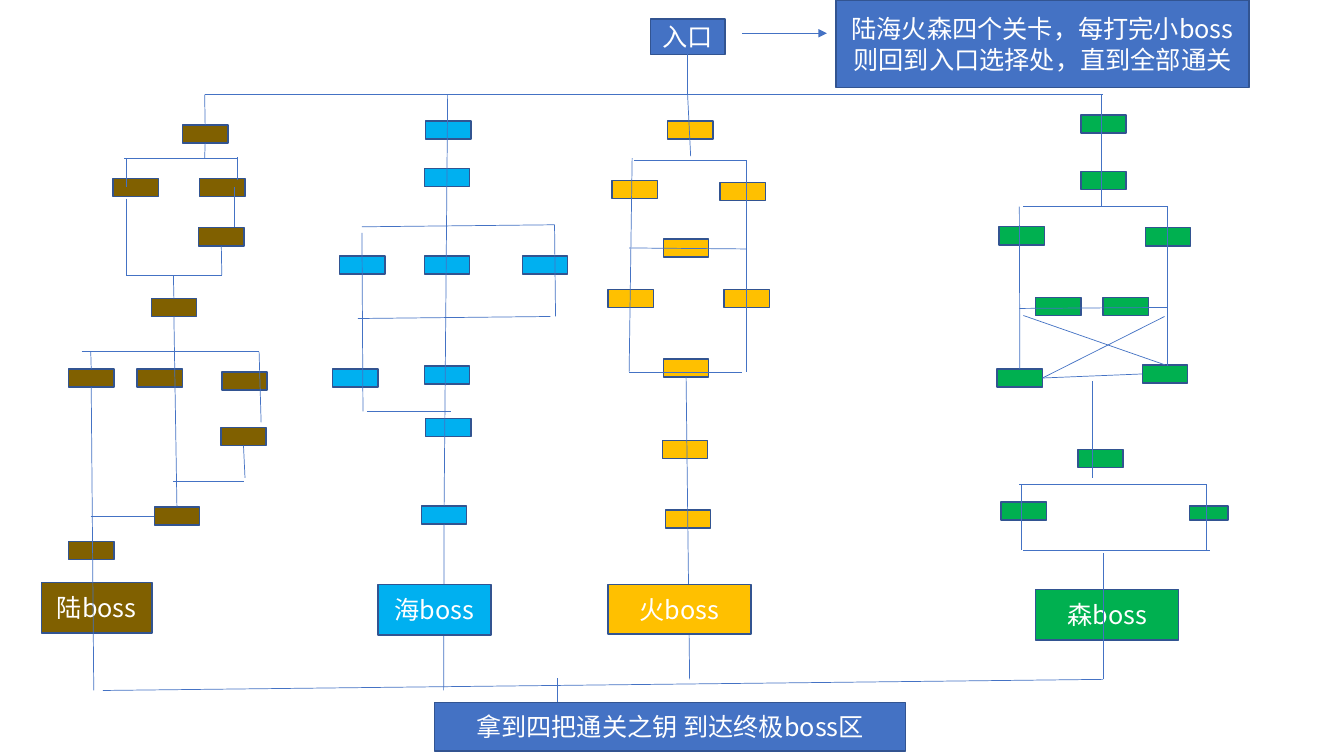
from dataclasses import dataclass

from lxml import etree
from pptx import Presentation
from pptx.dml.color import RGBColor
from pptx.enum.shapes import MSO_CONNECTOR, MSO_SHAPE
from pptx.enum.text import MSO_ANCHOR, PP_ALIGN
from pptx.oxml.ns import qn
from pptx.util import Inches, Pt

RECT = MSO_SHAPE.RECTANGLE
STRAIGHT = MSO_CONNECTOR.STRAIGHT
MIDDLE = MSO_ANCHOR.MIDDLE
CENTER = PP_ALIGN.CENTER

CELL = 0.1  # inches per grid column and row
ROOM = (4.5, 1.8)
NEAR = 0.15  # cells within which a line end joins a side


@dataclass(frozen=True)
class Theme:
    font: str = "Noto Sans CJK SC"
    size: float = 18
    edge: float = 1
    thin: float = 0.5
    text: str = "FFFFFF"
    blue: str = "4472C4"
    rim: str = "325491"
    land: str = "806000"
    sea: str = "00B0F0"
    fire: str = "FFC000"
    wood: str = "00B050"


THEME = Theme()

# Rooms are (column, row[, width, height]); paths are (x1, y1, x2, y2),
# all in cells from the top left corner of the lane.
LAND = dict(
    fill=THEME.land, name="陆boss", boss=(0.1, 48.4, 11, 5), front=False,
    rooms=[(14.1, 3), (7.2, 8.3), (15.8, 8.3), (15.7, 13.2), (11, 20.2),
           (2.8, 27.2), (9.6, 27.2), (18, 27.5), (2.8, 44.3), (17.9, 33),
           (11.3, 40.9)],
    paths=[(16.3, 0, 16.3, 3), (16.3, 4.8, 16.3, 6.3), (8.3, 6.3, 19.5, 6.3),
           (8.5, 6.3, 8.5, 9.2), (19.5, 8.5, 19.5, 6.2),
           (19.2, 9.2, 19.2, 13.1), (18, 15, 18, 17.9), (8.5, 10.3, 8.5, 18),
           (8.5, 17.9, 18, 17.9), (13.2, 17.9, 13.3, 20.2),
           (13.3, 22, 13.5, 40.9), (4.1, 25.5, 21.7, 25.5),
           (5, 25.5, 5, 27.2), (21.7, 25.5, 21.9, 32.5),
           (20.2, 34.8, 20.3, 38), (13.2, 38.4, 20.2, 38.4),
           (5, 29, 5.3, 59.1), (5, 41.8, 11.3, 41.8)])
SEA = dict(
    fill=THEME.sea, name="海boss", boss=(4.5, 48.6, 11.2, 5), front=True,
    rooms=[(9.2, 2.6), (9.1, 7.3), (0.7, 16), (9.1, 16), (18.8, 16),
           (9.1, 26.9), (0, 27.2), (9.2, 32.1), (8.8, 40.8)],
    paths=[(11.4, 0, 11, 40.8), (2.9, 13.1, 22, 12.9), (2.9, 13.7, 3, 31.4),
           (22, 12.9, 22.1, 22), (2.5, 22.2, 21.6, 22),
           (3.4, 31.4, 11.7, 31.4), (11, 42.6, 11, 59.1)])
FIRE = dict(
    fill=THEME.fire, name="火boss", boss=(0.3, 48.6, 14.2, 4.9), front=True,
    rooms=[(6.2, 2.6), (0.7, 8.5), (11.4, 8.7), (5.8, 14.3), (11.8, 19.3),
           (0.3, 19.3), (5.8, 26.2), (5.7, 34.3), (6, 41.2)],
    paths=[(8.2, 0, 8.5, 6.1), (2.9, 6.5, 14, 6.5), (2.7, 6.3, 2.4, 27.5),
           (2.4, 15.2, 14, 15.3), (14, 6.5, 14, 27.5),
           (2.4, 27.5, 13.6, 27.5), (8.1, 28, 8.4, 58)])
WOOD = dict(
    fill=THEME.wood, name="森boss", boss=(4.7, 49.1, 14.2, 5), front=False,
    rooms=[(9.2, 2), (9.2, 7.6), (1.1, 13.1), (15.6, 13.2), (4.7, 20.1),
           (11.4, 20.1), (0.9, 27.2), (15.3, 26.8), (8.9, 35.2), (1.3, 40.4),
           (20, 40.8, 3.8, 1.4)],
    paths=[(11.2, 0, 11.2, 11.1), (3.5, 11.1, 17.8, 11.1),
           (3.1, 11.1, 3.1, 27.2), (17.8, 11.1, 17.8, 26.9),
           (5.4, 28.1, 15.3, 27.7), (3.1, 21.2, 17.8, 21.1),
           (3.5, 21.9, 17.5, 26.8), (17.5, 22, 5.4, 28.1),
           (10.3, 28.4, 10.3, 38), (3.1, 38.7, 21.7, 38.7),
           (3.3, 38.7, 3.3, 45.2), (21.7, 38.7, 21.7, 45.2),
           (3.5, 45.2, 22, 45.2), (11.4, 45.5, 11.4, 58)])


def grid(*cells):
    return [Inches(n * CELL) for n in cells]


def color(code):
    return RGBColor.from_string(code)


def block(slide, org, area, fill, text=None):
    """Draw a filled box, with centred text if any."""
    x, y, w, h = area
    shape = slide.shapes.add_shape(RECT, *grid(org[0] + x, org[1] + y, w, h))
    shape.shadow.inherit = False
    shape.fill.solid()
    shape.fill.fore_color.rgb = color(fill)
    shape.line.color.rgb = color(THEME.rim)
    shape.line.width = Pt(THEME.edge)
    if text:
        frame = shape.text_frame
        frame.word_wrap = True
        frame.vertical_anchor = MIDDLE
        frame.margin_left = frame.margin_right = Inches(0.05)
        para = frame.paragraphs[0]
        para.alignment = CENTER
        run = para.add_run()
        run.text = text
        font = run.font
        font.name, font.size = THEME.font, Pt(THEME.size)
        font.color.rgb = color(THEME.text)
        east = etree.SubElement(run._r.get_or_add_rPr(), qn("a:ea"))
        east.set("typeface", THEME.font)
    return shape


def find(x, y, hosts):
    """Return the (shape, side) whose middle lies at the point, or None."""
    for host in hosts:
        l, t, w, h = host.left, host.top, host.width, host.height
        mids = [(l + w / 2, t), (l, t + h / 2),
                (l + w / 2, t + h), (l + w, t + h / 2)]
        for side, (mx, my) in enumerate(mids):
            if max(abs(mx - x), abs(my - y)) <= Inches(NEAR * CELL):
                return host, side
    return None


def link(slide, org, path, hosts=(), arrow=False):
    """Draw a thin line, joined to any host side it ends on."""
    x1, y1, x2, y2 = path
    ends = grid(org[0] + x1, org[1] + y1, org[0] + x2, org[1] + y2)
    line = slide.shapes.add_connector(STRAIGHT, *ends)
    line.line.color.rgb = color(THEME.blue)
    line.line.width = Pt(THEME.thin)
    if arrow:
        tail = etree.SubElement(line.line._get_or_add_ln(), qn("a:tailEnd"))
        tail.set("type", "triangle")
    etree.SubElement(line._element.spPr, qn("a:effectLst"))
    for point, join in ((ends[:2], line.begin_connect),
                        (ends[2:], line.end_connect)):
        spot = find(*point, hosts)
        if spot:
            join(*spot)


def head(slide, org):
    entry = block(slide, org, (44.2, 1.9, 7.4, 3.5), THEME.blue, "入口")
    link(slide, org, (47.9, 5.4, 47.9, 9.4), [entry])
    link(slide, org, (0, 9.4, 89.1, 9.4))
    link(slide, org, (53.3, 3.3, 61.7, 3.3), arrow=True)
    block(slide, org, (62.6, 0, 41, 8.7), THEME.blue,
          "陆海火森四个关卡，每打完小boss则回到入口选择处，直到全部通关")


def lane(slide, org, fill, name, boss, front, rooms, paths):
    """Draw one level; front puts its boss above the paths."""
    hosts = [block(slide, org, (*room, *ROOM)[:4], fill) for room in rooms]
    if not front:
        block(slide, org, boss, fill, name)
    for path in paths:
        link(slide, org, path, hosts)
    if front:
        block(slide, org, boss, fill, name)


def foot(slide, org):
    link(slide, org, (0, 1.2, 99.2, 0.1))
    link(slide, org, (45.1, 0, 45.1, 2.4))
    block(slide, org, (32.9, 2.4, 46.7, 4.8), THEME.blue,
          "拿到四把通关之钥 到达终极boss区")


def main():
    deck = Presentation()
    deck.slide_width, deck.slide_height = Inches(13.33), Inches(7.5)
    slide = deck.slides.add_slide(deck.slide_layouts[6])
    head(slide, (20.3, 0))
    for left, level in ((4, LAND), (33, SEA), (60, FIRE), (98, WOOD)):
        lane(slide, (left, 9.4), **level)
    foot(slide, (10.2, 67.3))
    deck.save("out.pptx")


if __name__ == "__main__":
    main()
